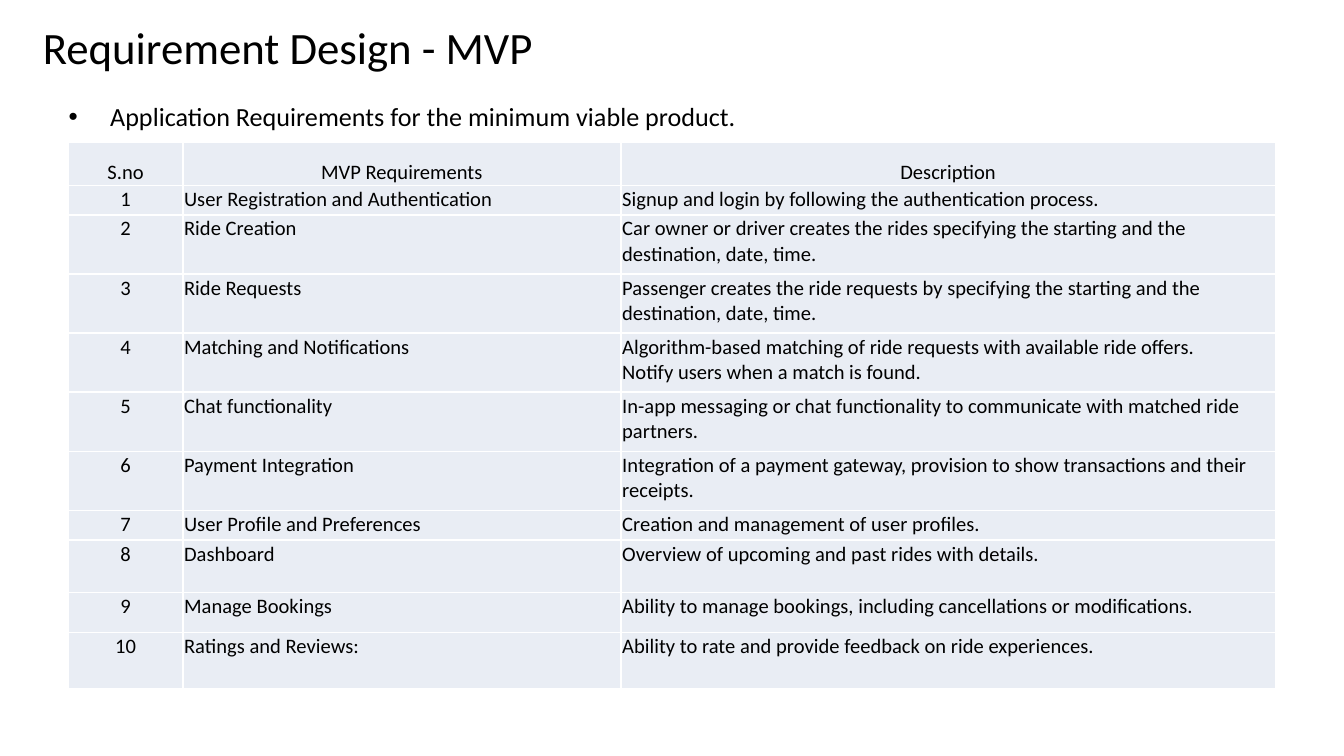
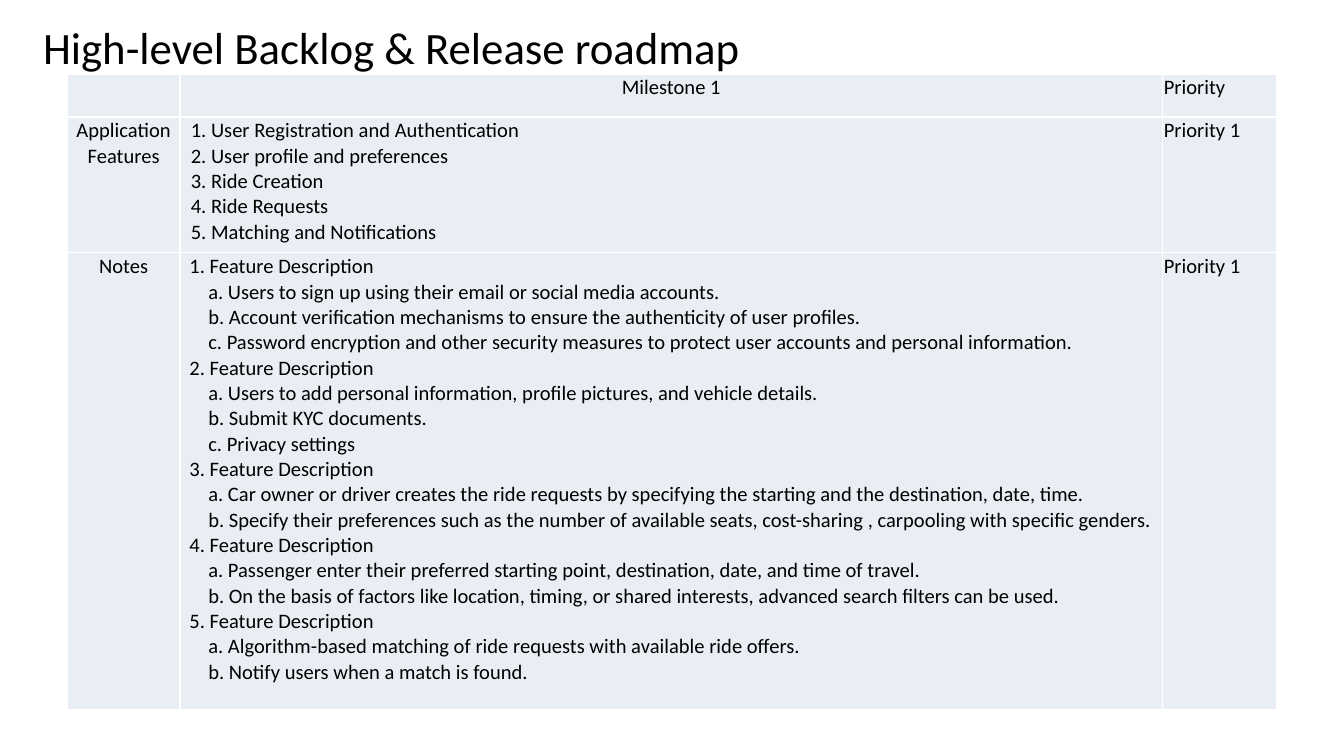
from lxml.etree import SubElement
from pptx import Presentation
from pptx.dml.color import RGBColor
from pptx.enum.text import MSO_ANCHOR as Anchor, PP_ALIGN as Align
from pptx.oxml.ns import qn
from pptx.util import Pt

PX = 9144  # 100 px to the inch
FONT, BLACK, WHITE, PALE = "Calibri", "000000", "FFFFFF", "E9EDF4"
colour = RGBColor.from_string


def write(frame, text, size=11, align=Align.LEFT, indent=0, bullet=None):
    """Add one paragraph to a text frame; the first fills the empty one."""
    para = frame.paragraphs[0]
    if para.runs:
        para = frame.add_paragraph()
    para.alignment = align
    span = para.add_run()
    span.text = text
    span.font.name, span.font.size = FONT, Pt(size)
    span.font.color.rgb = colour(BLACK)
    props = para._p.get_or_add_pPr()
    props.set("marL", str(indent * PX))
    if bullet:
        props.set("indent", str(-indent * PX))
        SubElement(props, qn("a:buFont"), typeface="Arial")
        SubElement(props, qn("a:buChar"), char=bullet)


def add_grid(page, left, top, widths, heights, rows, centred, anchor=Anchor.TOP):
    """Add a pale table; centred says which cells are centred, anchor sets the header row."""
    table = page.shapes.add_table(
        len(rows), len(widths), left * PX, top * PX,
        sum(widths) * PX, sum(heights) * PX).table
    table.first_row = table.horz_banding = False
    for column, width in zip(table.columns, widths):
        column.width = width * PX
    for r, (height, row) in enumerate(zip(heights, rows)):
        table.rows[r].height = height * PX
        for c, content in enumerate(row):
            cell = table.cell(r, c)
            cell.margin_left = cell.margin_right = cell.margin_top = PX
            cell.margin_bottom = 0
            cell.vertical_anchor = Anchor.TOP if r else anchor
            lines = [(content, 0)] if isinstance(content, str) else content
            for text, indent in lines:
                write(cell.text_frame, text, indent=indent,
                      align=Align.CENTER if centred(r, c) else Align.LEFT)
            # Borders come before the fill in the cell properties
            for side in ("a:lnL", "a:lnR", "a:lnT", "a:lnB"):
                line = SubElement(cell._tc.get_or_add_tcPr(), qn(side), w="12700")
                SubElement(SubElement(line, qn("a:solidFill")), qn("a:srgbClr"), val=WHITE)
            cell.fill.solid()
            cell.fill.fore_color.rgb = colour(PALE)


deck = Presentation()
deck.slide_width, deck.slide_height = 1000 * PX, 5625 * PX // 10

# Pages with their titles
pages = []
for title, width in (("Requirement Design - MVP", 433),
                     ("High-level Backlog & Release roadmap", 575)):
    page = deck.slides.add_slide(deck.slide_layouts[6])
    page.background.fill.solid()
    page.background.fill.fore_color.rgb = colour(WHITE)
    frame = page.shapes.add_textbox(25 * PX, 15 * PX, width * PX, 81 * PX).text_frame
    frame.word_wrap = True
    frame.margin_left = 7 * PX
    frame.margin_top = frame.margin_right = frame.margin_bottom = 0
    write(frame, title, size=24)
    pages.append(page)
requirements_page, roadmap_page = pages

# Slide 1: lead line
frame = requirements_page.shapes.add_textbox(51 * PX, 75 * PX, 898 * PX, 24 * PX).text_frame
frame.word_wrap = True
frame.margin_left = frame.margin_top = frame.margin_right = frame.margin_bottom = 0
write(frame, "Application Requirements for the minimum viable product.",
      size=14, indent=31, bullet="•")

# Slide 1: requirements table, with rows numbered in order
requirements = [
    ("User Registration and Authentication",
     "Signup and login by following the authentication process."),
    ("Ride Creation",
     "Car owner or driver creates the rides specifying the starting and the "
     "destination, date, time."),
    ("Ride Requests",
     "Passenger creates the ride requests by specifying the starting and the "
     "destination, date, time."),
    ("Matching and Notifications",
     [("Algorithm-based matching of ride requests with available ride offers.", 0),
      ("Notify users when a match is found.", 0)]),
    ("Chat functionality",
     "In-app messaging or chat functionality to communicate with matched ride partners."),
    ("Payment Integration",
     "Integration of a payment gateway, provision to show transactions and their receipts."),
    ("User Profile and Preferences", "Creation and management of user profiles."),
    ("Dashboard", "Overview of upcoming and past rides with details."),
    ("Manage Bookings",
     "Ability to manage bookings, including cancellations or modifications."),
    ("Ratings and Reviews:", "Ability to rate and provide feedback on ride experiences."),
]
rows = [("S.no", "MVP Requirements", "Description")]
rows += [(str(n), *requirement) for n, requirement in enumerate(requirements, 1)]
add_grid(requirements_page, 51, 106, [85, 326, 487],
         [32, 22] + [44] * 5 + [22, 39, 30, 42], rows,
         centred=lambda r, c: r == 0 or c == 0, anchor=Anchor.BOTTOM)

# Slide 2: features and the notes on each
features = [
    ("User Registration and Authentication", [
        "Users to sign up using their email or social media accounts.",
        "Account verification mechanisms to ensure the authenticity of user profiles.",
        "Password encryption and other security measures to protect user accounts "
        "and personal information."]),
    ("User profile and preferences", [
        "Users to add personal information, profile pictures, and vehicle details.",
        "Submit KYC documents.",
        "Privacy settings"]),
    ("Ride Creation", [
        "Car owner or driver creates the ride requests by specifying the starting "
        "and the destination, date, time.",
        "Specify their preferences such as the number of available seats, "
        "cost-sharing , carpooling with specific genders."]),
    ("Ride Requests", [
        "Passenger enter their preferred starting point, destination, date, "
        "and time of travel.",
        "On the basis of factors like location, timing, or shared interests, "
        "advanced search filters can be used."]),
    ("Matching and Notifications", [
        "Algorithm-based matching of ride requests with available ride offers.",
        "Notify users when a match is found."]),
]
names, notes = [], []
for n, (name, details) in enumerate(features, 1):
    names.append((f"{n}. {name}", 7))
    notes.append((f"{n}. Feature Description", 6))
    notes += [(f"{letter}. {detail}", 20) for letter, detail in zip("abc", details)]

# Slide 2: roadmap table
add_grid(roadmap_page, 50, 55, [84, 731, 85], [32, 101, 340],
         [("", "Milestone 1", "Priority"),
          ("Application Features", names, "Priority 1"),
          ("Notes", notes, "Priority 1")],
         centred=lambda r, c: c == 0 or (r, c) == (0, 1))

deck.save("out.pptx")
